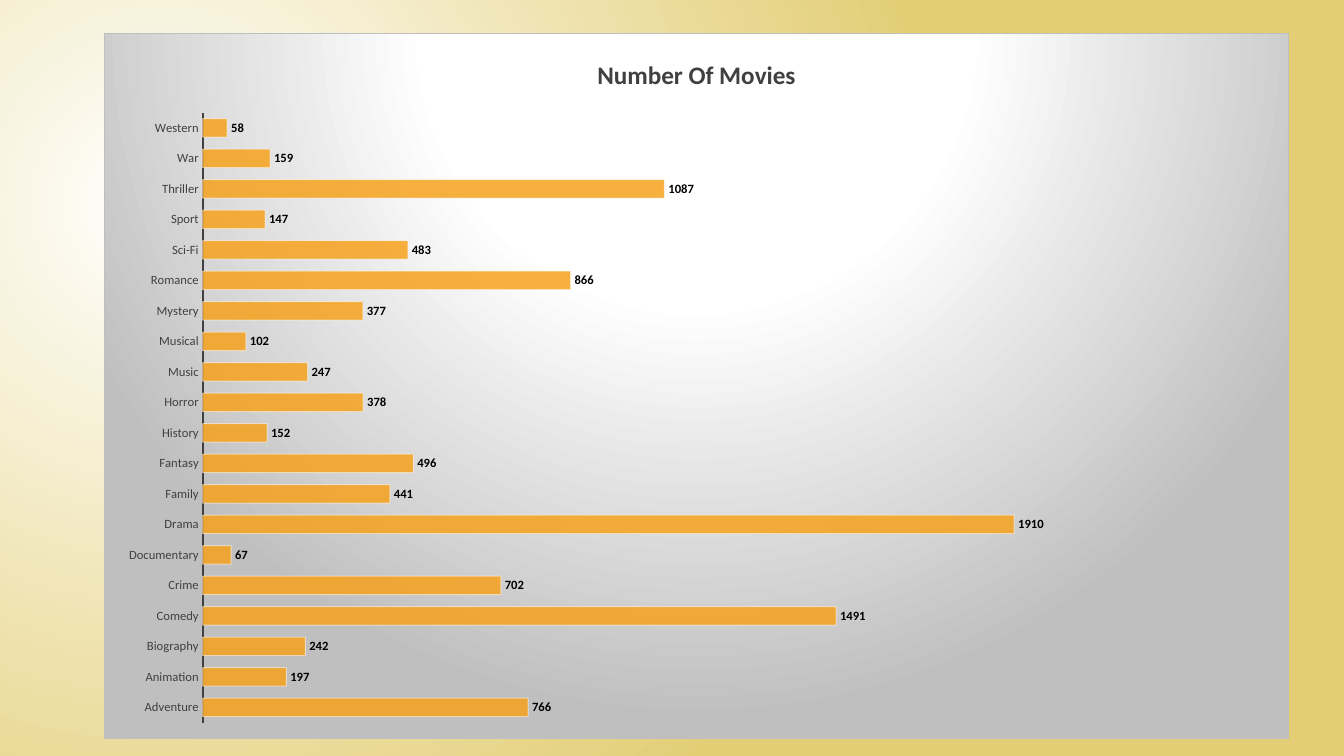
"""Build a slide with a bar chart of the number of movies per genre."""
import pptx
import pptx.chart.data
import pptx.dml.color
import pptx.enum.chart
import pptx.oxml
import pptx.oxml.ns
import pptx.util

Pt = pptx.util.Pt
qn = pptx.oxml.ns.qn

FONT = "Calibri"
DARK_GREY = "404040"
MOVIES = {
    "Adventure": 766, "Animation": 197, "Biography": 242, "Comedy": 1491,
    "Crime": 702, "Documentary": 67, "Drama": 1910, "Family": 441,
    "Fantasy": 496, "History": 152, "Horror": 378, "Music": 247,
    "Musical": 102, "Mystery": 377, "Romance": 866, "Sci-Fi": 483,
    "Sport": 147, "Thriller": 1087, "War": 159, "Western": 58,
}


def color(value):
    """Turn a hex string into a colour."""
    return pptx.dml.color.RGBColor.from_string(value)


def parse(markup):
    """Parse markup that uses the drawing and chart prefixes."""
    head, separator, rest = markup.partition(">")
    slash = "/" if head.endswith("/") else ""
    names = pptx.oxml.ns.nsdecls("a", "c")
    return pptx.oxml.parse_xml(f"{head.rstrip('/')} {names}{slash}{separator}{rest}")


def gradient(stops, left, top, right, bottom):
    """Return a circular gradient; positions and focus are percentages."""
    marks = "".join(
        f'<a:gs pos="{place * 1000}"><a:srgbClr val="{value}"/></a:gs>'
        for place, value in stops
    )
    return parse(
        f'<a:gradFill rotWithShape="1"><a:gsLst>{marks}</a:gsLst><a:path path="circle">'
        f'<a:fillToRect l="{left * 1000}" t="{top * 1000}" '
        f'r="{right * 1000}" b="{bottom * 1000}"/></a:path></a:gradFill>'
    )


def style_font(font, size, value, bold=False):
    """Set the typeface, size, colour and weight of a font."""
    font.name = FONT
    font.size = Pt(size)
    font.bold = bold
    font.color.rgb = color(value)


def paint_background(slide):
    """Fill the slide background with a pale yellow glow."""
    slide.background.fill.solid()
    properties = slide.element.find(".//" + qn("p:bgPr"))
    glow = gradient([(0, "FFFFFF"), (100, "E3CE76")], 50, 55, 125, 100)
    properties.replace(properties.find(qn("a:solidFill")), glow)


def add_bar_chart(slide):
    """Add the horizontal bar chart and return it."""
    data = pptx.chart.data.CategoryChartData()
    data.categories = list(MOVIES)
    data.add_series("Series 1", list(MOVIES.values()))
    frame = slide.shapes.add_chart(
        pptx.enum.chart.XL_CHART_TYPE.BAR_CLUSTERED,
        Pt(74.16), Pt(23.76), Pt(846.72), Pt(504), data,
    )
    chart = frame.chart
    chart.has_legend = False
    style_font(chart.font, 10, "000000")
    return chart


def add_title(chart, text):
    """Put a bold title above the bars."""
    chart.has_title = True
    chart.chart_title.include_in_layout = False
    para = chart.chart_title.text_frame.paragraphs[0]
    para.text = text
    style_font(para.font, 18, DARK_GREY, bold=True)


def style_axes(chart):
    """Show only the genre axis, with a dark line."""
    genres, counts = chart.category_axis, chart.value_axis
    genres.major_tick_mark = pptx.enum.chart.XL_TICK_MARK.NONE
    genres.minor_tick_mark = pptx.enum.chart.XL_TICK_MARK.NONE
    genres.format.line.color.rgb = color(DARK_GREY)
    genres.format.line.width = Pt(1.5)
    style_font(genres.tick_labels.font, 9, DARK_GREY)
    counts.minimum_scale = 0
    counts.maximum_scale = 2500
    counts.has_major_gridlines = False
    counts.visible = False


def style_bars(chart):
    """Colour the bars and label them with their values."""
    plot = chart.plots[0]
    plot.gap_width = 65
    plot.vary_by_categories = False
    series = plot.series[0]
    series.invert_if_negative = False
    series.format.fill.solid()
    series.format.fill.fore_color.rgb = color("F6A21D")
    series.format.line.color.rgb = color("FFFFFF")
    series.format.line.width = Pt(0.75)
    properties = chart.element.find(f".//{qn('c:ser')}/{qn('c:spPr')}")
    for paint, opacity in zip(properties.iter(qn("a:srgbClr")), (85, 50)):
        paint.append(parse(f'<a:alpha val="{opacity * 1000}"/>'))
    labels = series.data_labels
    labels.show_value = True
    labels.position = pptx.enum.chart.XL_LABEL_POSITION.OUTSIDE_END
    style_font(labels.font, 9, "000000", bold=True)


def style_areas(chart):
    """Place the plot area and shade the chart area behind it."""
    plot_area = chart.element.find(".//" + qn("c:plotArea"))
    for layout in plot_area.findall(qn("c:layout")):
        plot_area.remove(layout)
    places = {"x": 0.083, "y": 0.112, "w": 0.897, "h": 0.866}
    values = "".join(f'<c:{key} val="{value}"/>' for key, value in places.items())
    plot_area.insert(0, parse(
        '<c:layout><c:manualLayout><c:layoutTarget val="inner"/>'
        f'<c:xMode val="edge"/><c:yMode val="edge"/>{values}</c:manualLayout></c:layout>'
    ))
    plot_area.append(parse("<c:spPr><a:noFill/><a:ln><a:noFill/></a:ln></c:spPr>"))
    area = parse(
        f'<c:spPr><a:ln w="{Pt(0.75)}"><a:solidFill><a:srgbClr val="BFBFBF"/>'
        "</a:solidFill></a:ln></c:spPr>"
    )
    stops = [(0, "FFFFFF"), (39, "FFFFFF"), (100, "BFBFBF")]
    area.insert(0, gradient(stops, 50, -80, 50, 180))
    chart.element.find(qn("c:chart")).addnext(area)


def main():
    """Build and save the deck."""
    deck = pptx.Presentation()
    deck.slide_width, deck.slide_height = Pt(960), Pt(540)
    slide = deck.slides.add_slide(deck.slide_layouts[6])
    paint_background(slide)
    chart = add_bar_chart(slide)
    add_title(chart, "Number Of Movies")
    style_axes(chart)
    style_bars(chart)
    style_areas(chart)
    deck.save("out.pptx")


if __name__ == "__main__":
    main()
